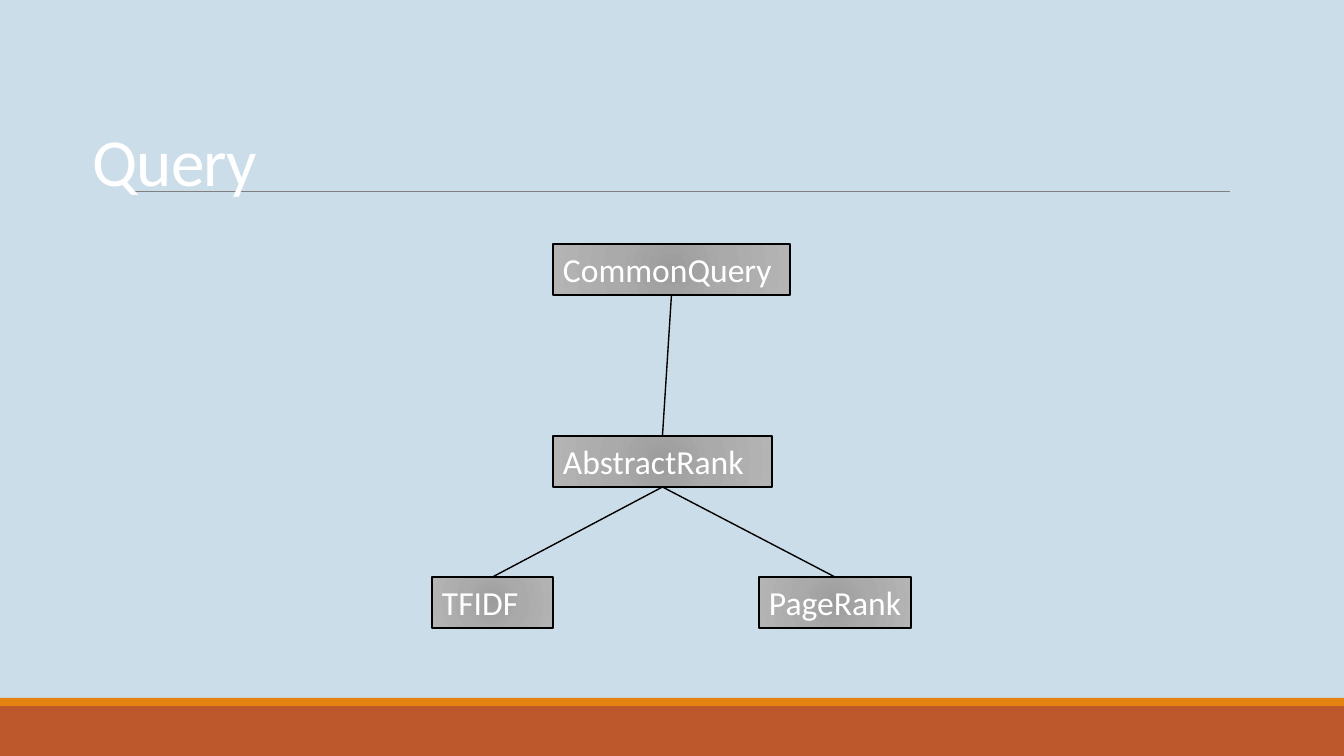
import pptx
import pptx.util
import pptx.oxml
import pptx.oxml.ns
import pptx.dml.color
import pptx.enum.shapes
import pptx.enum.text

PX = 914400 / 100.8
NS = pptx.oxml.ns.nsdecls("a")
RECT = pptx.enum.shapes.MSO_SHAPE.RECTANGLE
STRAIGHT = pptx.enum.shapes.MSO_CONNECTOR.STRAIGHT
ANCHOR = pptx.enum.text.MSO_ANCHOR
AUTO_SIZE = pptx.enum.text.MSO_AUTO_SIZE


def emu(*lengths):
    return [pptx.util.Emu(round(n * PX)) for n in lengths]


def rgb(color):
    return pptx.dml.color.RGBColor.from_string(color)


prs = pptx.Presentation()
prs.slide_width, prs.slide_height = emu(1344, 756)
s = prs.slides.add_slide(prs.slide_layouts[6])
s.background.fill.solid()
s.background.fill.fore_color.rgb = rgb("CCDDEA")

for top, height, color in [(706, 50, "BD582C"), (698, 8, "E48312")]:
    sp = s.shapes.add_shape(RECT, *emu(0, top, 1344, height))
    sp.shadow.inherit = False
    sp.fill.solid()
    sp.fill.fore_color.rgb = rgb(color)
    sp.line.fill.background()

rule = s.shapes.add_connector(STRAIGHT, *emu(132, 191, 1230, 191))

title = s.shapes.add_textbox(*emu(79, 64, 333, 204))
title_frame = {"word_wrap": True, "vertical_anchor": ANCHOR.MIDDLE}
for side in ("left", "right", "top", "bottom"):
    title_frame["margin_" + side] = emu(13)[0]

box_frame = {
    "word_wrap": True,
    "vertical_anchor": ANCHOR.TOP,
    "auto_size": AUTO_SIZE.SHAPE_TO_FIT_TEXT,
    "margin_right": 0,
}
texts = [(title, "Query", 48, title_frame)]

boxes = {}
for name, left, top, width in [
    ("AbstractRank", 553, 436, 219),
    ("TFIDF", 432, 577, 121),
    ("PageRank", 759, 577, 152),
    ("CommonQuery", 553, 244, 237),
]:
    sp = s.shapes.add_shape(RECT, *emu(left, top, width, 51))
    sp.shadow.inherit = False
    sp.fill.gradient()
    grad = sp.fill._xPr.find(pptx.oxml.ns.qn("a:gradFill"))
    stops = "".join(
        f'<a:gs pos="{pos * 1000}"><a:srgbClr val="{color}"/></a:gs>'
        for pos, color in [(0, "9C9C9C"), (45, "AAAAAA"), (100, "B4B4B4")]
    )
    grad.getparent().replace(grad, pptx.oxml.parse_xml(
        f'<a:gradFill {NS} rotWithShape="1"><a:gsLst>{stops}</a:gsLst><a:path path="circle">'
        '<a:fillToRect l="100000" t="100000" r="100000" b="100000"/></a:path></a:gradFill>'
    ))
    sp.line.color.rgb = rgb("000000")
    sp.line.width = pptx.util.Pt(1)
    boxes[name] = sp
    texts.append((sp, name, 24, box_frame))

for sp, text, size, frame in texts:
    tf = sp.text_frame
    for key, value in frame.items():
        setattr(tf, key, value)
    p = tf.paragraphs[0]
    p.alignment = pptx.enum.text.PP_ALIGN.LEFT
    r = p.add_run()
    r.text = text
    r.font.color.rgb = rgb("FFFFFF")
    for key, value in {"name": "Calibri", "size": pptx.util.Pt(size)}.items():
        setattr(r.font, key, value)

p = title.text_frame.paragraphs[0]
p.line_spacing = 0.85
p.runs[0]._r.get_or_add_rPr().set("spc", "-50")

lines = [(rule, "808080", 0.5)]
for parent, child in [
    ("AbstractRank", "TFIDF"),
    ("AbstractRank", "PageRank"),
    ("CommonQuery", "AbstractRank"),
]:
    link = s.shapes.add_connector(STRAIGHT, 0, 0, 0, 0)
    link.begin_connect(boxes[parent], 2)
    link.end_connect(boxes[child], 0)
    lines.append((link, "000000", 1))

for line, color, width in lines:
    line.line.color.rgb = rgb(color)
    line.line.width = pptx.util.Pt(width)
    line._element.spPr.append(pptx.oxml.parse_xml(f"<a:effectLst {NS}/>"))

prs.save("out.pptx")
